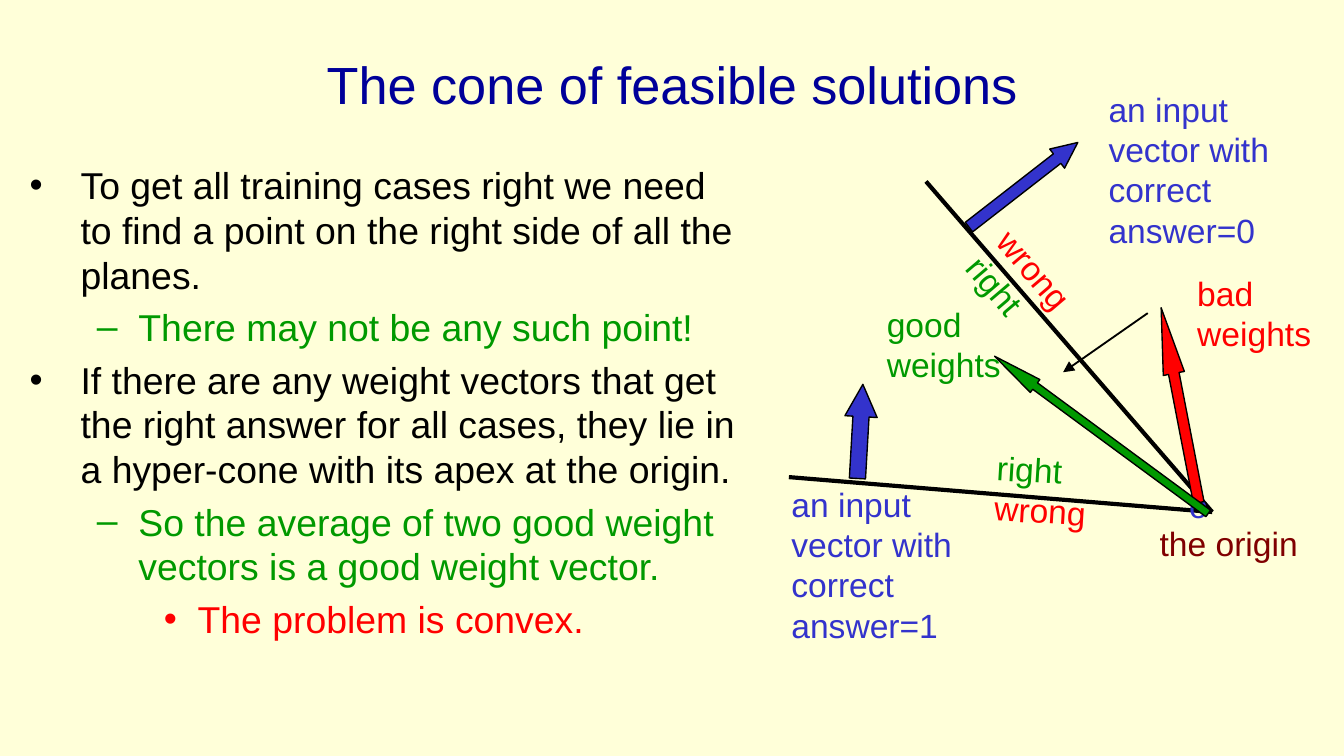
from math import atan2, degrees, hypot

from lxml import etree
from pptx import Presentation
from pptx.dml.color import RGBColor
from pptx.enum.shapes import MSO_CONNECTOR, MSO_SHAPE
from pptx.enum.text import MSO_ANCHOR, MSO_AUTO_SIZE, PP_ALIGN
from pptx.oxml.ns import qn
from pptx.util import Inches, Pt

STRAIGHT, ARROW = MSO_CONNECTOR.STRAIGHT, MSO_SHAPE.RIGHT_ARROW
CENTER, LEFT = PP_ALIGN.CENTER, PP_ALIGN.LEFT
MIDDLE, TOP = MSO_ANCHOR.MIDDLE, MSO_ANCHOR.TOP
FIXED = MSO_AUTO_SIZE.NONE

WIDTH = 10
HEIGHT = WIDTH * 9 / 16

THEME = {
    "font": "Arial", "title": 28, "body": 20, "label": 18,
    "paper": "FFFFD9", "navy": "000099", "black": "000000", "green": "009900",
    "red": "FF0000", "blue": "3333CC", "maroon": "800000",
}

TITLE = "The cone of feasible solutions"
BULLETS = [  # level, text
    (0, "To get all training cases right we need to find a point on the right "
        "side of all the planes."),
    (1, "There may not be any such point!"),
    (0, "If there are any weight vectors that get the right answer for all "
        "cases, they lie in a hyper-cone with its apex at the origin."),
    (1, "So the average of two good weight vectors is a good weight vector."),
    (2, "The problem is convex."),
]
LEVELS = [  # colour, bullet, text indent, hanging indent
    ("black", "•", 0.38, 0.38),
    ("green", "–", 0.81, 0.31),
    ("red", "•", 1.25, 0.25),
]

ORIGIN = (9.02, 3.81)
PLANES = [(5.87, 3.55), (6.89, 1.35)]
POINTER = ((8.54, 2.33), (7.91, 2.77))
LABELS = [  # box, rotation, wrap, lines of (text, colour)
    ((7.3, 3.3, 1.02, 1.01), 3.5, True, [("right", "green"), ("wrong", "red")]),
    ((7, 1.75, 1.02, 1.01), 49.6, True, [("wrong", "red"), ("right", "green")]),
    ((5.79, 3.55, 1.73, 1.31), 0, True,
     [("an input vector with correct answer=1", "blue")]),
    ((8.15, 0.61, 1.73, 1.31), 0, True,
     [("an input vector with correct answer=0", "blue")]),
    ((8.81, 1.98, 1.07, 0.71), 0, False, [("bad", "red"), ("weights", "red")]),
    ((6.5, 2.21, 1.07, 0.71), 0, False, [("good", "green"), ("weights", "green")]),
    ((8.75, 3.56, 0.34, 0.4), 0, False, [("o", "blue")]),
    ((8.53, 3.84, 1.24, 0.4), 0, False, [("the origin", "maroon")]),
]
VECTORS = [  # tail, tip, thickness, head length / thickness, colour
    ((8.92, 3.74), (8.64, 2.29), 0.16, 3.115, "red"),
    ((8.99, 3.82), (7.4, 2.65), 0.12, 3.115, "green"),
    ((6.38, 3.56), (6.42, 2.86), 0.24, 1, "blue"),
    ((7.21, 1.69), (8.02, 1.06), 0.18, 1.085, "blue"),
]


def color(name):
    """Return a theme colour."""
    return RGBColor.from_string(THEME[name])


def place(sp, box):
    """Move and size a shape, in inches."""
    sp.left, sp.top, sp.width, sp.height = map(Inches, box)


def write(tf, lines, size="label", align=LEFT, anchor=TOP, wrap=True):
    """Write (text, colour) lines as paragraphs and return the paragraphs."""
    tf.auto_size = FIXED
    tf.word_wrap, tf.vertical_anchor = wrap, anchor
    for i, (text, name) in enumerate(lines):
        p = tf.add_paragraph() if i else tf.paragraphs[0]
        p.alignment = align
        r = p.add_run()
        r.text = text
        r.font.name, r.font.size = THEME["font"], Pt(THEME[size])
        r.font.color.rgb = color(name)
    return tf.paragraphs


def set_bullet(p, level):
    """Give a paragraph the bullet and indents of its level."""
    _, char, margin, hang = LEVELS[level]
    p.level = level
    pPr = p._p.get_or_add_pPr()
    pPr.set("marL", str(Inches(margin)))
    pPr.set("indent", str(-Inches(hang)))
    etree.SubElement(pPr, qn("a:buChar")).set("char", char)


def add_line(s, start, end, width, head=False):
    """Draw a black line, with an arrowhead at its end if asked."""
    line = s.shapes.add_connector(STRAIGHT, *map(Inches, start + end))
    line.line.color.rgb, line.line.width = color("black"), Pt(width)
    spPr = line._element.spPr
    if head:
        etree.SubElement(spPr.find(qn("a:ln")), qn("a:tailEnd")).set("type", "triangle")
    etree.SubElement(spPr, qn("a:effectLst"))


def add_vector(s, tail, tip, thick, head, name):
    """Draw a block arrow from tail to tip."""
    dx, dy = tip[0] - tail[0], tip[1] - tail[1]
    length = hypot(dx, dy)
    sp = s.shapes.add_shape(ARROW, 0, 0, 0, 0)
    place(sp, ((tail[0] + tip[0] - length) / 2, (tail[1] + tip[1] - thick) / 2,
               length, thick))
    sp.rotation = degrees(atan2(dy, dx)) % 360
    sp.adjustments[0], sp.adjustments[1] = 0.5, head
    sp.shadow.inherit = False
    sp.fill.solid()
    sp.fill.fore_color.rgb = color(name)
    sp.line.color.rgb, sp.line.width = color("black"), Pt(0.75)


prs = Presentation()
prs.slide_width, prs.slide_height = Inches(WIDTH), Inches(HEIGHT)
s = prs.slides.add_slide(prs.slide_layouts[1])
s.background.fill.solid()
s.background.fill.fore_color.rgb = color("paper")

title, body = s.shapes.title, s.placeholders[1]
place(title, (0.5, 0.15, 9, 0.94))
write(title.text_frame, [(TITLE, "navy")], size="title", align=CENTER, anchor=MIDDLE)
place(body, (0.12, 1.16, 5.47, 3.71))
paragraphs = write(body.text_frame,
                   [(text, LEVELS[level][0]) for level, text in BULLETS], size="body")
for p, (level, _) in zip(paragraphs, BULLETS):
    set_bullet(p, level)

for start in PLANES:
    add_line(s, start, ORIGIN, 2.25)
add_line(s, *POINTER, 1, head=True)
for box, angle, wrap, lines in LABELS:
    sp = s.shapes.add_textbox(*map(Inches, box))
    sp.rotation = angle
    write(sp.text_frame, lines, wrap=wrap)
for vector in VECTORS:
    add_vector(s, *vector)

prs.save("out.pptx")
